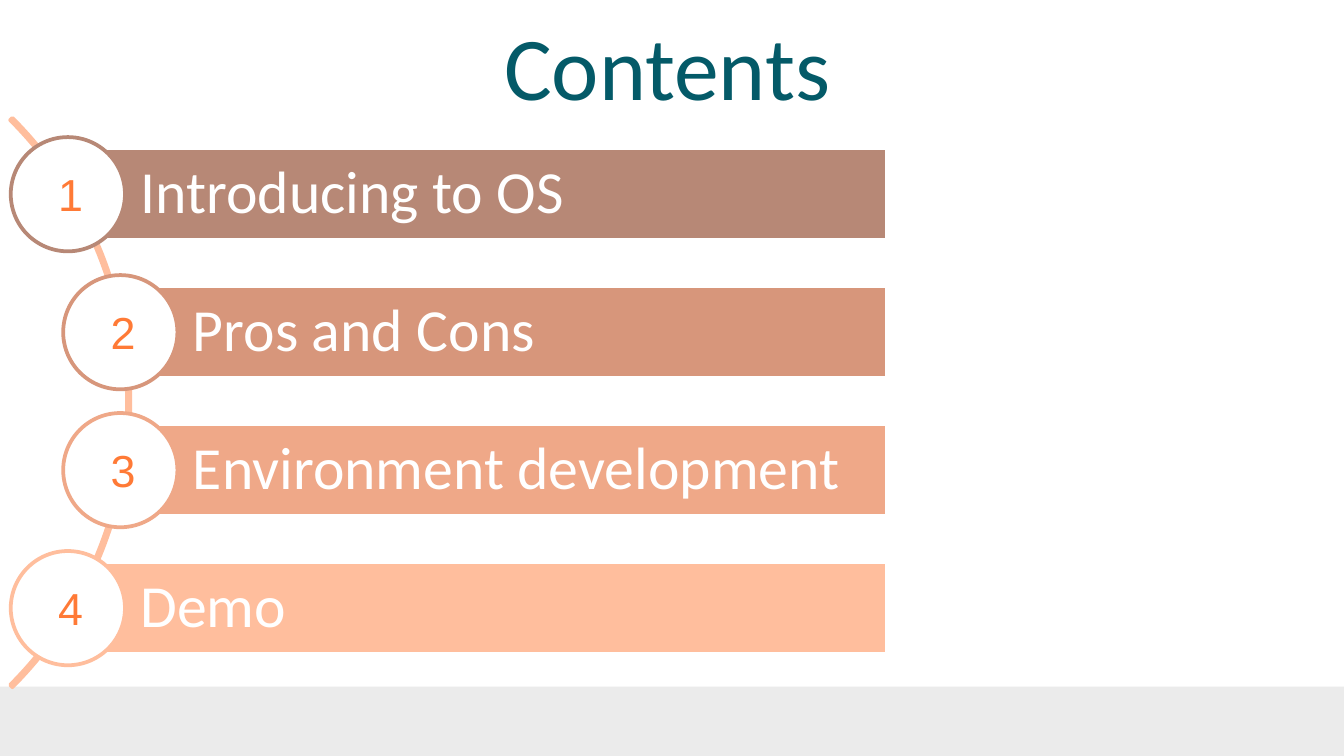
from pptx import Presentation
from pptx.dml.color import RGBColor
from pptx.enum import shapes, text
from pptx.util import Inches, Pt

WHITE = RGBColor(0xFF, 0xFF, 0xFF)
TEAL = RGBColor(0x04, 0x5A, 0x68)
ORANGE = RGBColor(0xFF, 0x7A, 0x36)
PEACH = RGBColor(0xFF, 0xBE, 0x9D)
GREY = RGBColor(0xEB, 0xEB, 0xEB)

WIDTH = 10
HEIGHT = WIDTH * 9 / 16
BAR_H, CIRCLE = 0.68, 0.85
# Wording, bar colour and indent along the arc
TOPICS = [
    ("Introducing to OS", RGBColor(0xB7, 0x88, 0x76), 0),
    ("Pros and Cons", RGBColor(0xD7, 0x96, 0x7B), 0.39),
    ("Environment development", RGBColor(0xEF, 0xA8, 0x88), 0.39),
    ("Demo", PEACH, 0),
]


def add_shape(slide, kind, box, fill, line=None):
    sp = slide.shapes.add_shape(kind, *map(Inches, box))
    sp.shadow.inherit = False
    sp.fill.solid()
    sp.fill.fore_color.rgb = fill
    if line is None:
        sp.line.fill.background()
    else:
        sp.line.color.rgb = line
        sp.line.width = Pt(2)
    return sp


def write(tf, words, font, size, color, align):
    p = tf.paragraphs[0]
    p.alignment = align
    r = p.add_run()
    r.text = words
    r.font.name, r.font.size = font, Pt(size)
    r.font.color.rgb = color
    return p


def add_title(slide, box, words):
    title = slide.shapes.title
    title.left, title.top, title.width, title.height = map(Inches, box)
    tf = title.text_frame
    tf.auto_size = text.MSO_AUTO_SIZE.NONE
    tf.vertical_anchor = text.MSO_ANCHOR.MIDDLE
    tf.margin_left = tf.margin_right = tf.margin_top = tf.margin_bottom = Inches(0.1)
    write(tf, words, "Calibri", 48, TEAL, text.PP_ALIGN.CENTER)


def add_arc(slide, left, top, size):
    arc = add_shape(slide, shapes.MSO_SHAPE.BLOCK_ARC, (left, top, size, size), PEACH, PEACH)
    for i, value in enumerate((189, 27, 0.004)):  # 315 degrees, 45 degrees, thickness
        arc.adjustments[i] = value


def add_topic(slide, box, number, words, color):
    """Bar with a numbered circle on its left end; the circle sets the box height."""
    left, top, width, height = box
    bar_left = left + height / 2
    bar = add_shape(slide, shapes.MSO_SHAPE.RECTANGLE,
                    (bar_left, top + (height - BAR_H) / 2, width - height / 2, BAR_H),
                    color, WHITE)
    tf = bar.text_frame
    tf.word_wrap = True
    tf.vertical_anchor = text.MSO_ANCHOR.MIDDLE
    tf.margin_left = Inches(0.54)
    tf.margin_right = tf.margin_top = tf.margin_bottom = Inches(0.09)
    p = write(tf, words, "Calibri", 32, WHITE, text.PP_ALIGN.LEFT)
    p.line_spacing = 0.9

    add_shape(slide, shapes.MSO_SHAPE.OVAL, (left, top, height, height), WHITE, color)
    label = slide.shapes.add_textbox(*map(Inches, (left + 0.12, top + 0.17, 0.65, 0.5)))
    label.text_frame.word_wrap = True
    write(label.text_frame, str(number), "Arial", 24, ORANGE, text.PP_ALIGN.CENTER)


def add_topics(slide, box):
    left, top, width, height = box
    pitch = (height - CIRCLE) / (len(TOPICS) - 1)
    for i, (words, color, indent) in enumerate(TOPICS):
        add_topic(slide, (left + indent, top + i * pitch, width - indent, CIRCLE),
                  i + 1, words, color)


def main():
    prs = Presentation()
    prs.slide_width, prs.slide_height = Inches(WIDTH), Inches(HEIGHT)
    slide = prs.slides.add_slide(prs.slide_layouts[5])
    add_shape(slide, shapes.MSO_SHAPE.RECTANGLE, (0, 5.11, WIDTH, HEIGHT - 5.11), GREY)
    add_title(slide, (0.75, 0.21, 8.43, 0.55), "Contents")
    add_arc(slide, -5.02, 0, 5.99)
    add_topics(slide, (0.08, 1.02, 6.52, 3.93))
    prs.save("out.pptx")


if __name__ == "__main__":
    main()
